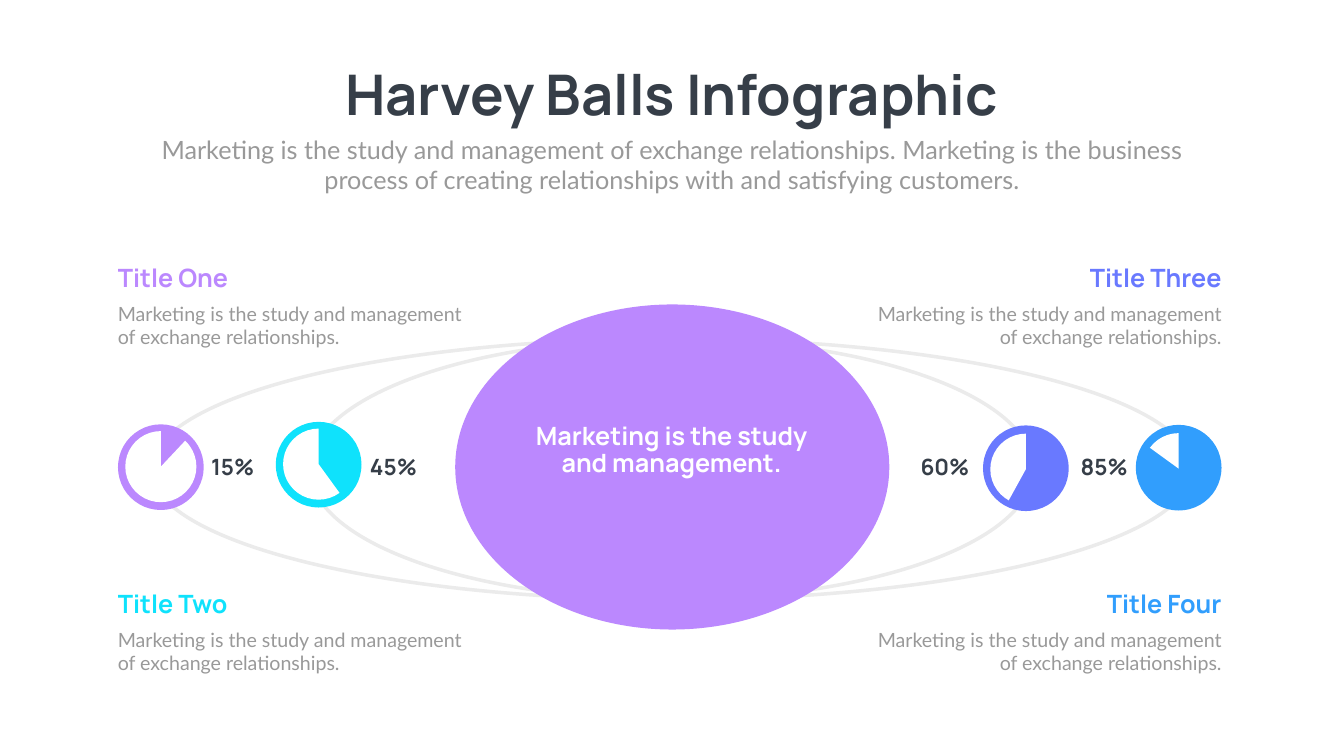
"""Build the Harvey balls infographic slide, placed in percent of the slide's size."""
from pptx import Presentation
from pptx.chart.data import CategoryChartData
from pptx.dml.color import RGBColor
from pptx.enum.chart import XL_CHART_TYPE
from pptx.enum.shapes import MSO_SHAPE
from pptx.enum.text import MSO_AUTO_SIZE, PP_ALIGN
from pptx.oxml import parse_xml
from pptx.oxml.ns import nsdecls
from pptx.util import Inches, Pt

DARK = RGBColor(0x36, 0x3E, 0x48)
GREY = RGBColor(0x99, 0x99, 0x99)
PALE = RGBColor(0xEB, 0xEB, 0xEB)
WHITE = RGBColor(0xFF, 0xFF, 0xFF)
PURPLE = RGBColor(0xBB, 0x88, 0xFE)
CYAN = RGBColor(0x0F, 0xE2, 0xFC)
INDIGO = RGBColor(0x69, 0x79, 0xFF)
BLUE = RGBColor(0x31, 0x9E, 0xFD)

HEADLINE = {"name": "Manrope", "size": Pt(80), "bold": True}
HEADING = {"name": "Manrope", "size": Pt(36), "bold": True}
PERCENT = {"name": "Manrope", "size": Pt(32), "bold": True}
INTRO = {"name": "Lato", "size": Pt(36), "bold": False}
BODY = {"name": "Lato", "size": Pt(28), "bold": False}
CHART_FONT = {"name": "Calibri", "size": Pt(18)}

NO_FILL = f"<c:spPr {nsdecls('c', 'a')}><a:noFill/><a:ln><a:noFill/></a:ln></c:spPr>"
PIE_LAYOUT = (
    f"<c:layout {nsdecls('c')}><c:manualLayout><c:layoutTarget val='inner'/>"
    "<c:xMode val='edge'/><c:yMode val='edge'/><c:x val='0.08'/><c:y val='0.08'/>"
    "<c:w val='0.84'/><c:h val='0.84'/></c:manualLayout></c:layout>"
)

deck = Presentation()
deck.slide_width, deck.slide_height = Inches(26.66), Inches(15)
slide = deck.slides.add_slide(deck.slide_layouts[6])


def share(left, top, width, height):
    return [int(part * side / 100) for part, side in zip(
        (left, top, width, height), (deck.slide_width, deck.slide_height) * 2)]


def write(text, area, style, color, align, spacing=1.0):
    frame = slide.shapes.add_textbox(*share(*area)).text_frame
    frame.word_wrap = True
    frame.auto_size = MSO_AUTO_SIZE.SHAPE_TO_FIT_TEXT
    line = frame.paragraphs[0]
    line.alignment, line.line_spacing = align, spacing
    run = line.add_run()
    run.text = text
    for key, value in style.items():
        setattr(run.font, key, value)
    run.font.color.rgb = color


write("Harvey Balls Infographic", (18.3, 7.6, 63.35, 9.67), HEADLINE, DARK, PP_ALIGN.CENTER)
write("Marketing is the study and management of exchange relationships. Marketing is the "
      "business process of creating relationships with and satisfying customers.",
      (10.95, 17.4, 78.09, 8.73), INTRO, GREY, PP_ALIGN.CENTER)

balls = [
    (84.51, 56.2, 56.4, BLUE, (85, 15)),
    (20.52, 55.8, 55.8, CYAN, (40, 60)),
    (8.78, 56.13, 56.13, PURPLE, (12, 88)),
    (73.14, 56.27, 56.47, INDIGO, (58, 42)),
]
ovals = [
    ((11.22, 44.8, 77.49, 34.53), None),
    ((23.03, 44.8, 53.86, 34.53), None),
    ((33.87, 40.27, 32.3, 43), PURPLE),
] + [((left, top, 6.38, 11.33), color) for left, top, _, color, _ in balls]
for area, color in ovals:
    oval = slide.shapes.add_shape(MSO_SHAPE.OVAL, *share(*area))
    oval.shadow.inherit = False
    if color is None:
        oval.fill.background()
        oval.line.color.rgb, oval.line.width = PALE, Pt(5)
    else:
        oval.fill.solid()
        oval.fill.fore_color.rgb = color
        oval.line.fill.background()

for left, _, pie_top, color, values in balls:
    portions = CategoryChartData()
    portions.categories = ["1", "2"]
    portions.add_series("Series 1", values)
    pie = slide.shapes.add_chart(
        XL_CHART_TYPE.PIE, *share(left, pie_top, 6.38, 11.2), portions).chart
    pie.has_legend = pie.has_title = False
    for key, value in CHART_FONT.items():
        setattr(pie.font, key, value)
    pie.font.color.rgb = GREY
    pie.plots[0].vary_by_categories = False
    for index, slice_color in enumerate((BLUE if color == BLUE else None, WHITE)):
        portion = pie.plots[0].series[0].points[index].format
        portion.line.fill.background()
        if slice_color is None:
            portion.fill.background()
        else:
            portion.fill.solid()
            portion.fill.fore_color.rgb = slice_color
    plot_area = pie.element.xpath("c:chart/c:plotArea")[0]
    for old_layout in plot_area.xpath("c:layout"):
        plot_area.remove(old_layout)
    plot_area.insert(0, parse_xml(PIE_LAYOUT))
    plot_area.append(parse_xml(NO_FILL))
    plot_area.getparent().addnext(parse_xml(NO_FILL))

for title, color, left, top, align in [
    ("Title One", PURPLE, 8.4, 34.4, PP_ALIGN.LEFT),
    ("Title Two", CYAN, 8.4, 77.47, PP_ALIGN.LEFT),
    ("Title Three", INDIGO, 64.67, 34.4, PP_ALIGN.RIGHT),
    ("Title Four", BLUE, 64.67, 77.47, PP_ALIGN.RIGHT),
]:
    write("Marketing is the study and management of exchange relationships.",
          (left, top + 5.2, 26.59, 6.93), BODY, GREY, align)
    write(title, (left, top, 26.59, 4.73), HEADING, color, align)

write("Marketing is the study and management.", (39.2, 55.67, 21.53, 12.8),
      HEADING, WHITE, PP_ALIGN.CENTER, 0.9)

for percent, left, align in [
    ("15%", 15.34, PP_ALIGN.LEFT),
    ("45%", 27.16, PP_ALIGN.LEFT),
    ("60%", 67.85, PP_ALIGN.RIGHT),
    ("85%", 79.63, PP_ALIGN.RIGHT),
]:
    write(percent, (left, 59.67, 4.65, 4.27), PERCENT, DARK, align)

deck.save("out.pptx")
